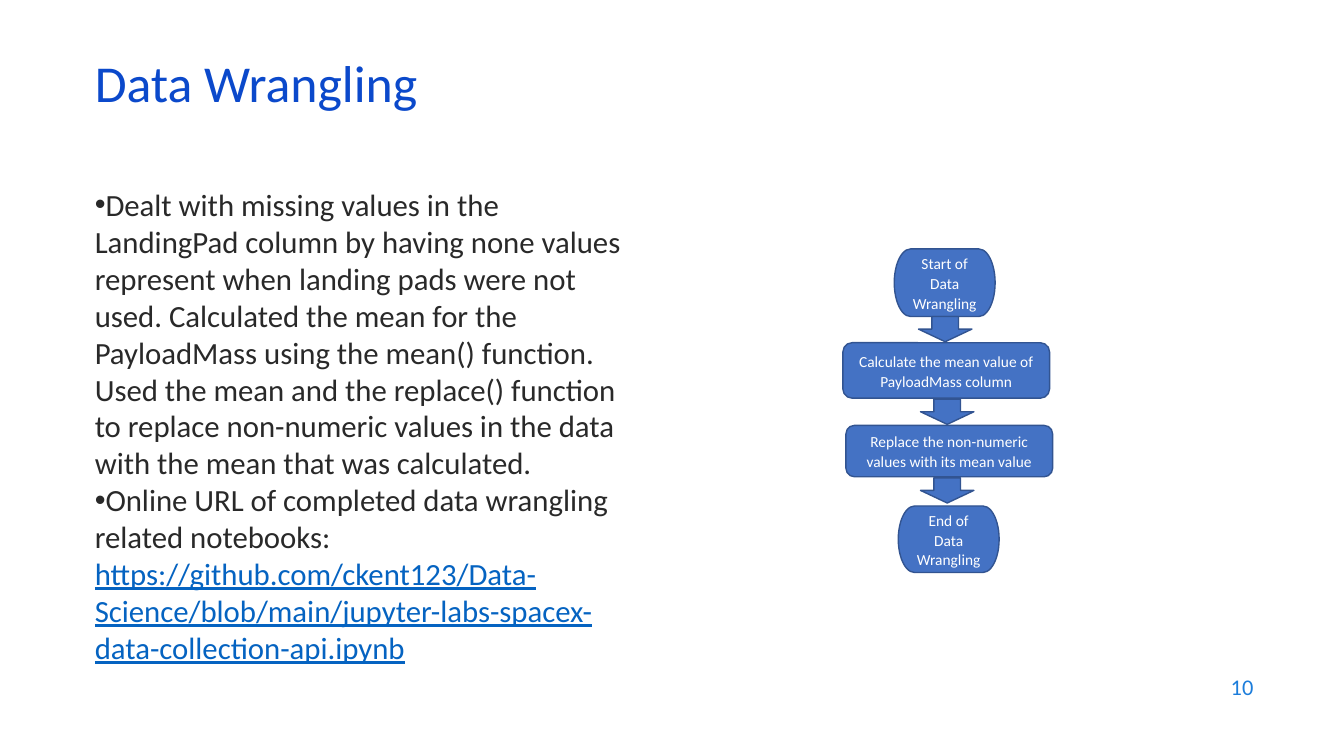
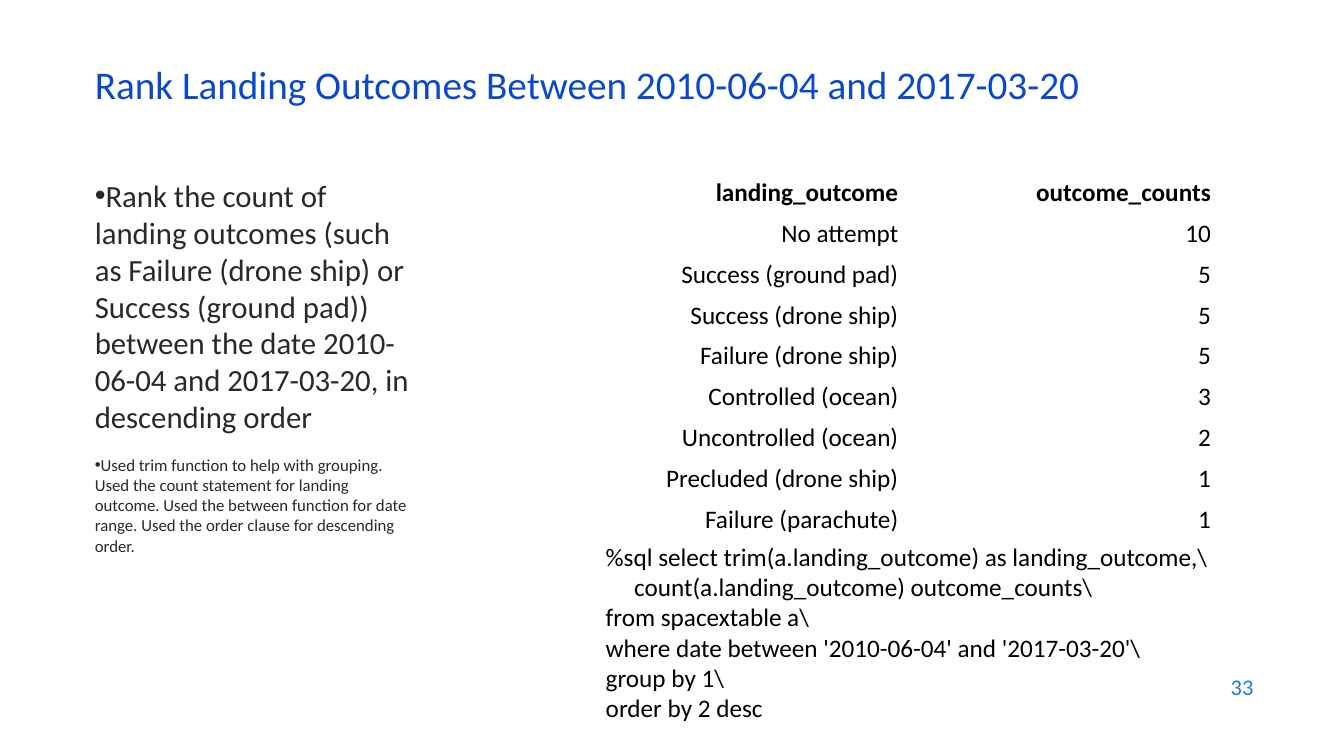
from typing import NamedTuple

from lxml import etree
from pptx import Presentation
from pptx.dml.color import RGBColor
from pptx.enum.shapes import MSO_SHAPE
from pptx.enum.text import MSO_ANCHOR, MSO_AUTO_SIZE, PP_ALIGN
from pptx.oxml.ns import qn
from pptx.util import Inches, Pt

TERMINATOR = MSO_SHAPE.FLOWCHART_TERMINATOR
PROCESS = MSO_SHAPE.FLOWCHART_ALTERNATE_PROCESS
DOWN_ARROW = MSO_SHAPE.DOWN_ARROW
MIDDLE = MSO_ANCHOR.MIDDLE
TOP = MSO_ANCHOR.TOP
LEFT = PP_ALIGN.LEFT
CENTER = PP_ALIGN.CENTER
RIGHT = PP_ALIGN.RIGHT
NO_AUTOFIT = MSO_AUTO_SIZE.NONE

FONT = "Calibri"
TITLE_BLUE = "0B49CB"
NUMBER_BLUE = "1C7DDB"
LINK_BLUE = "0563C1"
BODY_GRAY = "292929"
BLACK = "000000"
WHITE = "FFFFFF"
FLOW_FILL = "4472C4"
FLOW_LINE = "325491"
TITLE_AND_CONTENT = 1
ROW_HEIGHT = 0.4


class Box(NamedTuple):
    left: float
    top: float
    width: float
    height: float


class TextRun(NamedTuple):
    text: str
    size: float
    color: str = BODY_GRAY
    underline: bool = False
    bold: bool = False


class FlowShape(NamedTuple):
    kind: MSO_SHAPE
    box: Box
    text: str = ""


TITLE_BOX = Box(0.84, 0.59, 11.5, 0.6)
NUMBER_BOX = Box(9.53, 6.59, 3, 0.44)

WRANGLING_BULLETS = [
    [TextRun(
        "Dealt with missing values in the LandingPad column by having none values "
        "represent when landing pads were not used. Calculated the mean for the "
        "PayloadMass using the mean() function. Used the mean and the replace() "
        "function to replace non-numeric values in the data with the mean that was "
        "calculated.", 22)],
    [TextRun("Online URL of completed data wrangling related notebooks: ", 22),
     TextRun("https://github.com/ckent123/Data-Science/blob/main/"
             "jupyter-labs-spacex-data-collection-api.ipynb", 22, LINK_BLUE, True)],
]

FLOW_SHAPES = [
    FlowShape(TERMINATOR, Box(8.87, 2.47, 1, 0.67), "Start of Data Wrangling"),
    FlowShape(PROCESS, Box(8.36, 3.4, 2.05, 0.55),
              "Calculate the mean value of PayloadMass column"),
    FlowShape(PROCESS, Box(8.39, 4.22, 2.05, 0.51),
              "Replace the non-numeric values with its mean value"),
    FlowShape(TERMINATOR, Box(8.91, 5.02, 1, 0.66), "End of Data Wrangling"),
    FlowShape(DOWN_ARROW, Box(9.11, 3.14, 0.53, 0.25)),
    FlowShape(DOWN_ARROW, Box(9.13, 3.96, 0.53, 0.25)),
    FlowShape(DOWN_ARROW, Box(9.13, 4.74, 0.53, 0.25)),
]

RANKING_BULLETS = [
    [TextRun(
        "Rank the count of landing outcomes (such as Failure (drone ship) or Success "
        "(ground pad)) between the date 2010-06-04 and 2017-03-20, in descending "
        "order", 22)],
    [TextRun(
        "Used trim function to help with grouping. Used the count statement for "
        "landing outcome. Used the between function for date range. Used the order "
        "clause for descending order.", 12)],
]

OUTCOME_ROWS = [
    ("landing_outcome", "outcome_counts"),
    ("No attempt", "10"),
    ("Success (ground pad)", "5"),
    ("Success (drone ship)", "5"),
    ("Failure (drone ship)", "5"),
    ("Controlled (ocean)", "3"),
    ("Uncontrolled (ocean)", "2"),
    ("Precluded (drone ship)", "1"),
    ("Failure (parachute)", "1"),
]

QUERY_LINES = [
    "%sql select trim(a.landing_outcome) as landing_outcome,\\",
    "     count(a.landing_outcome) outcome_counts\\",
    "from spacextable a\\",
    "where date between '2010-06-04' and '2017-03-20'\\",
    "group by 1\\",
    "order by 2 desc",
]


def rgb(color: str) -> RGBColor:
    return RGBColor.from_string(color)


def lengths(box: Box) -> list:
    return [Inches(value) for value in box]


def place(shape, box: Box) -> None:
    shape.left, shape.top, shape.width, shape.height = lengths(box)


def prepare_frame(frame, anchor: MSO_ANCHOR) -> None:
    frame.word_wrap = True
    frame.auto_size = NO_AUTOFIT
    frame.vertical_anchor = anchor


def write_paragraph(paragraph, runs: list[TextRun], alignment: PP_ALIGN = LEFT,
                    line_spacing: float = 1.0) -> None:
    paragraph.alignment = alignment
    paragraph.line_spacing = line_spacing
    for item in runs:
        run = paragraph.add_run()
        run.text = item.text
        font = run.font
        font.name = FONT
        font.size = Pt(item.size)
        font.bold = item.bold
        font.underline = item.underline
        font.color.rgb = rgb(item.color)


def write_paragraphs(frame, paragraphs: list[list[TextRun]], space_before: float = 0,
                     bullets: bool = False) -> None:
    for index, runs in enumerate(paragraphs):
        paragraph = frame.add_paragraph() if index else frame.paragraphs[0]
        paragraph.space_before = Pt(space_before if index else 0)
        if bullets:
            properties = paragraph._p.get_or_add_pPr()
            properties.set("marL", "0")
            properties.set("indent", "0")
            etree.SubElement(properties, qn("a:buChar")).set("char", "•")
        write_paragraph(paragraph, runs)


def add_text_box(slide, box: Box, anchor: MSO_ANCHOR):
    frame = slide.shapes.add_textbox(*lengths(box)).text_frame
    prepare_frame(frame, anchor)
    return frame


def add_content_slide(presentation, title: str, title_size: float, number: str,
                      body_box: Box, bullets: list[list[TextRun]],
                      space_before: float = 0):
    slide = presentation.slides.add_slide(
        presentation.slide_layouts[TITLE_AND_CONTENT])
    title_shape = slide.shapes.title
    place(title_shape, TITLE_BOX)
    prepare_frame(title_shape.text_frame, MIDDLE)
    write_paragraph(title_shape.text_frame.paragraphs[0],
                    [TextRun(title, title_size, TITLE_BLUE)], line_spacing=0.7)

    body = slide.placeholders[1]
    place(body, body_box)
    prepare_frame(body.text_frame, TOP)
    write_paragraphs(body.text_frame, bullets, space_before, bullets=True)

    number_frame = add_text_box(slide, NUMBER_BOX, MIDDLE)
    write_paragraph(number_frame.paragraphs[0],
                    [TextRun(number, 16, NUMBER_BLUE)], RIGHT)
    return slide


def add_flow_shape(slide, item: FlowShape) -> None:
    shape = slide.shapes.add_shape(item.kind, *lengths(item.box))
    shape.shadow.inherit = False
    shape.fill.solid()
    shape.fill.fore_color.rgb = rgb(FLOW_FILL)
    shape.line.color.rgb = rgb(FLOW_LINE)
    shape.line.width = Pt(1)
    if item.text:
        prepare_frame(shape.text_frame, MIDDLE)
        paragraph = shape.text_frame.paragraphs[0]
        paragraph.space_after = Pt(8)
        write_paragraph(paragraph, [TextRun(item.text, 11, WHITE)], CENTER, 1.07)


def add_outcome_table(slide) -> None:
    box = Box(5.91, 1.71, 6.2, ROW_HEIGHT * len(OUTCOME_ROWS))
    table = slide.shapes.add_table(
        len(OUTCOME_ROWS), len(OUTCOME_ROWS[0]), *lengths(box)).table
    table.horz_banding = False
    for row_index, values in enumerate(OUTCOME_ROWS):
        for column_index, value in enumerate(values):
            cell = table.cell(row_index, column_index)
            cell.fill.solid()
            cell.fill.fore_color.rgb = rgb(WHITE)
            cell.vertical_anchor = MIDDLE
            write_paragraph(cell.text_frame.paragraphs[0],
                            [TextRun(value, 18, BLACK, bold=row_index == 0)], RIGHT)


def build_wrangling_slide(presentation) -> None:
    slide = add_content_slide(presentation, "Data Wrangling", 37, "10",
                              Box(0.84, 1.79, 5.65, 5.24), WRANGLING_BULLETS)
    for item in FLOW_SHAPES:
        add_flow_shape(slide, item)


def build_ranking_slide(presentation) -> None:
    slide = add_content_slide(
        presentation, "Rank Landing Outcomes Between 2010-06-04 and 2017-03-20", 28,
        "33", Box(0.84, 1.7, 3.39, 5.21), RANKING_BULLETS, 14)
    add_outcome_table(slide)
    query_frame = add_text_box(slide, Box(5.91, 5.32, 6.2, 1.92), TOP)
    write_paragraphs(query_frame, [[TextRun(line, 18, BLACK)] for line in QUERY_LINES])


def main() -> None:
    presentation = Presentation()
    presentation.slide_width = Inches(13.33)
    presentation.slide_height = Inches(7.5)
    build_wrangling_slide(presentation)
    build_ranking_slide(presentation)
    presentation.save("out.pptx")


if __name__ == "__main__":
    main()
